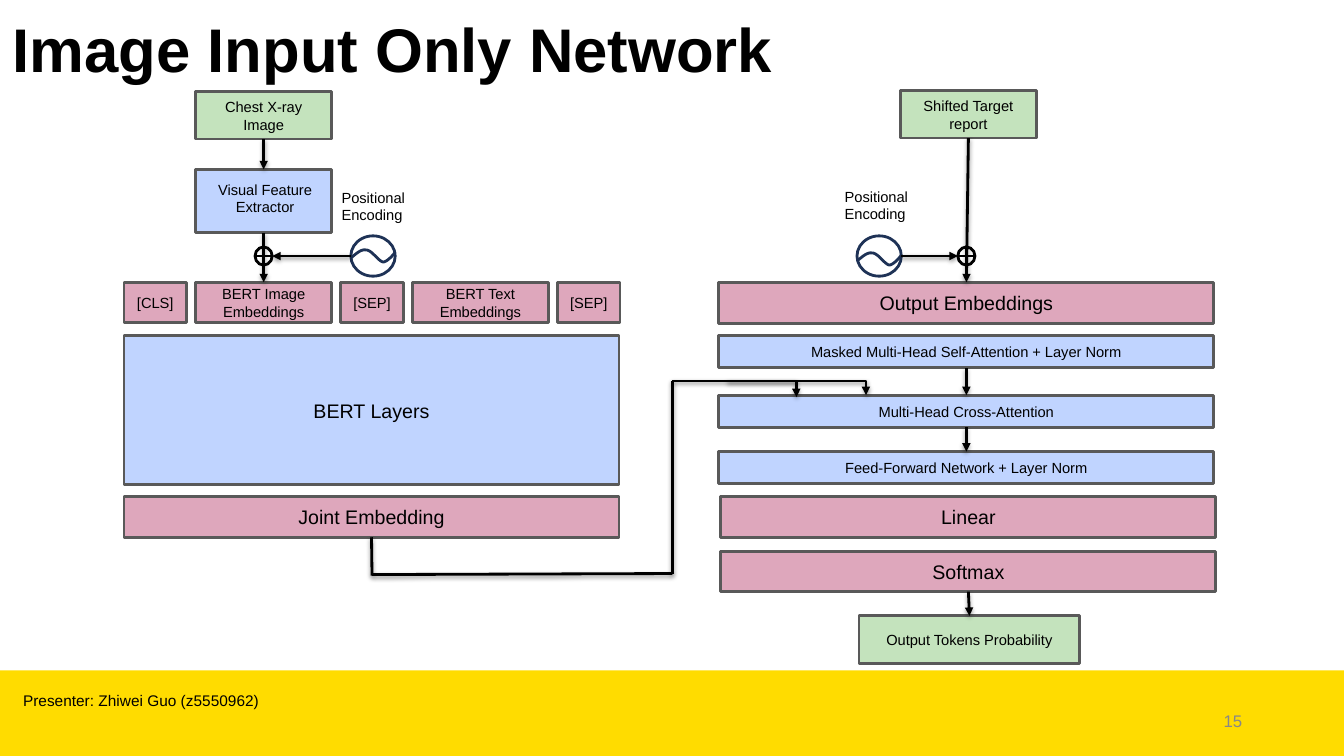
from lxml.etree import SubElement
from pptx import Presentation
from pptx.dml.color import RGBColor
from pptx.enum.shapes import MSO_CONNECTOR, MSO_SHAPE
from pptx.enum.text import MSO_ANCHOR, MSO_AUTO_SIZE, PP_ALIGN
from pptx.oxml import parse_xml
from pptx.oxml.ns import nsdecls, qn
from pptx.util import Inches, Pt

BLACK = RGBColor(0x00, 0x00, 0x00)
GRAY = RGBColor(0x88, 0x88, 0x88)
BORDER = RGBColor(0x59, 0x59, 0x59)
YELLOW = RGBColor(0xFF, 0xDC, 0x00)
GREEN = RGBColor(0xC4, 0xE3, 0xBD)
BLUE = RGBColor(0xC0, 0xD4, 0xFF)
PINK = RGBColor(0xDD, 0xA3, 0xB9)
NAVY = RGBColor(0x1E, 0x32, 0x56)

TOP, BOTTOM = 0, 2
LINE_WIDTH = Pt(2)
SMALL, LARGE = 10.5, 14
COLUMN_WIDTH = 4.91

# Bezier points of the positional encoding wave, relative to its start
WAVE = [(0, 0), (0.05, -0.04), (0.1, -0.09), (0.15, -0.08), (0.21, -0.08),
        (0.27, 0.03), (0.32, 0.04), (0.36, 0.04), (0.43, -0.04), (0.44, -0.06)]
WAVE_STEPS = 12

SHADOW = (f'<a:effectLst {nsdecls("a")}><a:outerShdw blurRad="39370" dist="20320" '
          'dir="5400000" rotWithShape="0"><a:srgbClr val="000000"><a:alpha val="38000"/>'
          '</a:srgbClr></a:outerShdw></a:effectLst>')


def set_all(target, values):
    for name, value in values.items():
        setattr(target, name, value)


def wave_points(left, top):
    """Sample the Bezier curves of the wave."""
    points = []
    for first in range(0, len(WAVE) - 1, 3):
        curve = WAVE[first:first + 4]
        for step in range(1, WAVE_STEPS + 1):
            t = step / WAVE_STEPS
            weights = ((1 - t) ** 3, 3 * t * (1 - t) ** 2, 3 * t * t * (1 - t), t ** 3)
            x, y = (sum(w * p[axis] for w, p in zip(weights, curve)) for axis in (0, 1))
            points.append((Inches(left + x), Inches(top + y)))
    return points


class NetworkSlide:
    """Holds the current slide and its style."""

    font_name = "Arial"

    def __init__(self, presentation):
        self.slide = presentation.slides.add_slide(presentation.slide_layouts[5])
        self.shapes = self.slide.shapes

    def fill_text(self, shape, text, size, align, anchor, color=BLACK, bold=False):
        frame = shape.text_frame
        set_all(frame, {"word_wrap": True, "auto_size": MSO_AUTO_SIZE.NONE,
                        "vertical_anchor": anchor, "text": text})
        paragraph = frame.paragraphs[0]
        paragraph.alignment = align
        set_all(paragraph.font, {"name": self.font_name, "size": Pt(size), "bold": bold})
        paragraph.font.color.rgb = color

    def title(self, text, left, top, width, height):
        title = self.shapes.title
        set_all(title, {"left": Inches(left), "top": Inches(top),
                        "width": Inches(width), "height": Inches(height)})
        self.fill_text(title, text, 44, PP_ALIGN.CENTER, MSO_ANCHOR.TOP, bold=True)

    def label(self, text, left, top, width, height, size=SMALL, align=PP_ALIGN.LEFT,
              anchor=MSO_ANCHOR.TOP, color=BLACK):
        box = self.shapes.add_textbox(Inches(left), Inches(top), Inches(width), Inches(height))
        self.fill_text(box, text, size, align, anchor, color)

    def outline(self, shape, color):
        shape.shadow.inherit = False
        shape.line.color.rgb = color
        shape.line.width = LINE_WIDTH

    def block(self, text, fill, left, top, width, height, size=SMALL):
        block = self.shapes.add_shape(MSO_SHAPE.RECTANGLE, Inches(left), Inches(top),
                                      Inches(width), Inches(height))
        self.outline(block, BORDER)
        block.fill.solid()
        block.fill.fore_color.rgb = fill
        if fill == PINK:
            color = block._element.spPr.find(qn("a:solidFill"))[0]
            SubElement(color, qn("a:alpha")).set("val", "95000")
        if text:
            self.fill_text(block, text, size, PP_ALIGN.CENTER, MSO_ANCHOR.MIDDLE)
        return block

    def hollow(self, kind, color, left, top, width, height):
        shape = self.shapes.add_shape(kind, Inches(left), Inches(top),
                                      Inches(width), Inches(height))
        self.outline(shape, color)
        shape.fill.background()

    def footer_bar(self):
        bar = self.shapes.add_shape(MSO_SHAPE.RECTANGLE, 0, Inches(6.65),
                                    Inches(13.33), Inches(0.85))
        bar.shadow.inherit = False
        bar.fill.solid()
        bar.fill.fore_color.rgb = YELLOW
        bar.line.fill.background()

    def positional_encoding(self, left, wave_top, label_left, label_top):
        self.hollow(MSO_SHAPE.OVAL, NAVY, left, 2.34, 0.44, 0.4)
        builder = self.shapes.build_freeform(Inches(left), Inches(wave_top))
        builder.add_line_segments(wave_points(left, wave_top), close=False)
        wave = builder.convert_to_shape()
        self.outline(wave, NAVY)
        wave.fill.background()
        self.label("Positional Encoding", label_left, label_top, 1.2, 0.45)

    def connector(self, start, end, arrow=True, kind=MSO_CONNECTOR.STRAIGHT):
        connector = self.shapes.add_connector(kind, *(Inches(n) for n in (*start, *end)))
        connector.line.color.rgb = BLACK
        connector.line.width = LINE_WIDTH
        properties = connector._element.spPr
        if arrow:
            SubElement(properties.find(qn("a:ln")), qn("a:tailEnd")).set("type", "triangle")
        properties.append(parse_xml(SHADOW))
        return connector

    def bent_arrow(self, start, end):
        """Run sideways and turn down only at the far end."""
        arrow = self.connector(start, end, kind=MSO_CONNECTOR.ELBOW)
        geometry = arrow._element.spPr.find(qn("a:prstGeom"))
        guides = geometry.find(qn("a:avLst"))
        if guides is None:
            guides = SubElement(geometry, qn("a:avLst"))
        guide = SubElement(guides, qn("a:gd"))
        guide.set("name", "adj1")
        guide.set("fmla", "val 99900")

    def flow(self, upper, lower):
        arrow = self.connector((0, 0), (1, 1))
        arrow.begin_connect(upper, BOTTOM)
        arrow.end_connect(lower, TOP)


def draw_encoder(page):
    left = 1.23
    image = page.block("Chest X-ray Image", GREEN, 1.94, 0.91, 1.35, 0.47)
    extractor = page.block("", BLUE, 1.94, 1.68, 1.35, 0.63)
    page.label("Visual Feature Extractor", 1.86, 1.74, 1.54, 0.69, align=PP_ALIGN.CENTER)

    embeddings = []
    token_left = left
    for text, width in (("[CLS]", 0.62), ("BERT Image Embeddings", 1.35), ("[SEP]", 0.62),
                        ("BERT Text Embeddings", 1.35), ("[SEP]", 0.62)):
        embeddings.append(page.block(text, PINK, token_left, 2.8, width, 0.4))
        token_left += width + 0.09

    page.block("BERT Layers", BLUE, left, 3.33, COLUMN_WIDTH, 1.48, LARGE)
    joint = page.block("Joint Embedding", PINK, left, 4.93, COLUMN_WIDTH, 0.4, LARGE)
    page.positional_encoding(3.48, 2.56, 3.29, 1.82)
    page.flow(image, extractor)
    page.flow(extractor, embeddings[1])
    page.hollow(MSO_SHAPE.FLOWCHART_OR, BLACK, 2.53, 2.45, 0.17, 0.18)
    page.connector((3.48, 2.54), (2.7, 2.54))
    return joint


def draw_decoder(page):
    left = 7.13
    report = page.block("Shifted Target report", GREEN, 8.93, 0.9, 1.35, 0.47)
    output = page.block("Output Embeddings", PINK, left, 2.8, COLUMN_WIDTH, 0.41, LARGE)
    masked, cross, feed_forward = (
        page.block(text, BLUE, left, top, COLUMN_WIDTH, 0.32)
        for text, top in (("Masked Multi-Head Self-Attention + Layer Norm", 3.33),
                          ("Multi‑Head Cross‑Attention", 3.92),
                          ("Feed‑Forward Network + Layer Norm", 4.48)))
    linear, softmax = (page.block(text, PINK, left + 0.02, top, COLUMN_WIDTH, 0.4, LARGE)
                       for text, top in (("Linear", 4.93), ("Softmax", 5.47)))
    probability = page.block("Output Tokens Probability", GREEN, 8.52, 6.11, 2.19, 0.47)
    page.positional_encoding(8.5, 2.59, 8.28, 1.81)
    for upper, lower in ((report, output), (masked, cross), (cross, feed_forward),
                         (softmax, probability)):
        page.flow(upper, lower)
    page.hollow(MSO_SHAPE.FLOWCHART_OR, BLACK, 9.5, 2.45, 0.17, 0.18)
    page.connector((8.94, 2.54), (9.5, 2.54))


def draw_bridge(page, joint):
    """Lead the joint embedding into the cross-attention."""
    down = page.connector((3.69, 5.33), (3.69, 5.71), arrow=False)
    down.begin_connect(joint, BOTTOM)
    page.connector((3.69, 5.7), (6.67, 5.69), arrow=False)
    page.connector((6.67, 3.78), (6.67, 5.69), arrow=False)
    page.bent_arrow((6.67, 3.78), (7.9, 3.94))
    page.bent_arrow((7.21, 3.78), (8.59, 3.92))


def main():
    presentation = Presentation()
    set_all(presentation, {"slide_width": Inches(13.33), "slide_height": Inches(7.5)})
    page = NetworkSlide(presentation)
    page.footer_bar()
    page.title("Image Input Only Network", -0.25, 0.06, 8.3, 0.84)
    page.label("Presenter: Zhiwei Guo (z5550962)", 0.13, 6.81, 8.01, 0.29, 11)
    page.label("15", 9.42, 6.95, 3, 0.4, 12, PP_ALIGN.RIGHT, MSO_ANCHOR.MIDDLE, GRAY)
    joint = draw_encoder(page)
    draw_decoder(page)
    draw_bridge(page, joint)
    presentation.save("out.pptx")


if __name__ == "__main__":
    main()
